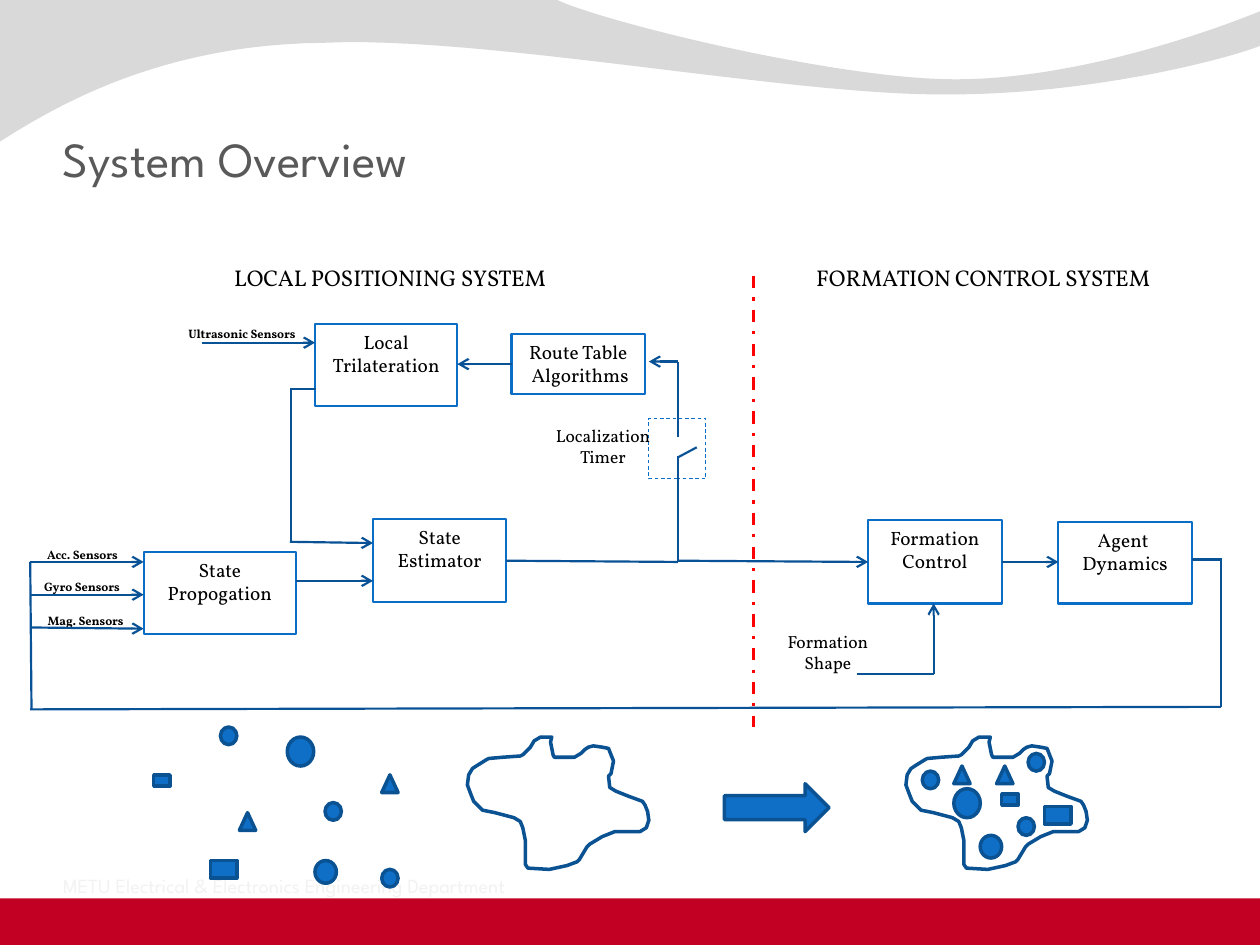
from lxml.etree import SubElement
from pptx import Presentation
from pptx.dml.color import RGBColor
from pptx.enum.dml import MSO_LINE as Dash
from pptx.enum.shapes import MSO_CONNECTOR, MSO_SHAPE as Shape
from pptx.enum.text import MSO_ANCHOR as Anchor, PP_ALIGN as Align
from pptx.oxml.ns import qn
from pptx.util import Inches, Pt

WHITE = RGBColor(0xFF, 0xFF, 0xFF)
BLACK = RGBColor(0, 0, 0)
RED = RGBColor(0xFF, 0, 0)
CRIMSON = RGBColor(0xC2, 0x00, 0x24)
SILVER = RGBColor(0xD9, 0xD9, 0xD9)
GRAY = RGBColor(0x59, 0x59, 0x59)
PALE = RGBColor(0xF2, 0xF2, 0xF2)
EDGE = RGBColor(0x0A, 0x6D, 0xC6)
WIRE = RGBColor(0x09, 0x52, 0x95)
BLUE = RGBColor(0x0F, 0x6F, 0xC6)
NAVY = RGBColor(0x0B, 0x52, 0x92)
SANS, SERIF = "League Spartan", "Vollkorn"

prs = Presentation()
prs.slide_width, prs.slide_height = Inches(10), Inches(7.5)
slide = prs.slides.add_slide(prs.slide_layouts[6])
slide.background.fill.solid()
slide.background.fill.fore_color.rgb = WHITE
shapes = slide.shapes


def style(shape, fill=None, line=None, width=1.25):
    shape.shadow.inherit = False
    if fill is None:
        shape.fill.background()
    else:
        shape.fill.solid()
        shape.fill.fore_color.rgb = fill
    if line is None:
        shape.line.fill.background()
    else:
        shape.line.color.rgb = line
        shape.line.width = Pt(width)


def write(shape, text, size, font=SERIF, color=BLACK, align=Align.CENTER, bold=False):
    frame = shape.text_frame
    frame.text = text
    frame.vertical_anchor = Anchor.TOP
    for par in frame.paragraphs:
        par.alignment = align
        for run in par.runs:
            run.font.size, run.font.name = Pt(size), font
            run.font.color.rgb, run.font.bold = color, bold


# Page frame: bottom bar and top wave
bar = shapes.add_shape(Shape.RECTANGLE, 0, Inches(7.13), Inches(10), Inches(0.37))
style(bar, CRIMSON)

# Each run of cubic curves: a start point, then control, control, end
upper = [(4.4, -0.01), (4.76, 0.17), (6.64, 0.63), (7.58, 0.63),
         (8.53, 0.63), (9.58, 0.26), (10, 0.09)]
lower = [(10.01, 0.36), (9.83, 0.44), (8.7, 0.76), (7.46, 0.75), (6.22, 0.75),
         (3.82, 0.28), (2.57, 0.34), (1.29, 0.35), (0.46, 0.83), (-0.01, 1.13)]
STEPS = 24
wave = []
for curve in (upper, lower):
    wave.append(curve[0])
    for i in range(0, len(curve) - 1, 3):
        for step in range(1, STEPS + 1):
            t = step / STEPS
            mix = ((1 - t) ** 3, 3 * t * (1 - t) ** 2, 3 * t * t * (1 - t), t ** 3)
            wave.append([sum(m * p[axis] for m, p in zip(mix, curve[i:i + 4]))
                         for axis in (0, 1)])
path = shapes.build_freeform(Inches(0), Inches(-0.01))
path.add_line_segments([(Inches(x), Inches(y)) for x, y in wave])
style(path.convert_to_shape(), SILVER)

for text, x, y, w, h, inset, size, color in [
    ("System Overview", 0.5, 0.37, 9, 1.12, 0.05, 28, GRAY),
    ("METU Electrical & Electronics Engineering Department",
     0.5, 6.83, 4.38, 0.29, 0, 11.5, PALE),
]:
    box = shapes.add_textbox(Inches(x), Inches(y), Inches(w), Inches(h))
    write(box, text, size, SANS, color, Align.LEFT)
    frame = box.text_frame
    frame.word_wrap, frame.vertical_anchor = True, Anchor.BOTTOM
    frame.margin_left = frame.margin_right = frame.margin_bottom = 0
    frame.margin_top = Inches(inset)

# Block diagram
for text, x, y, w, h in [
    ("Local Trilateration", 2.5, 2.57, 1.13, 0.65),
    ("Route Table\n Algorithms", 4.06, 2.65, 1.06, 0.48),
    ("State Propogation", 1.14, 4.38, 1.21, 0.65),
    ("State Estimator", 2.96, 4.12, 1.06, 0.66),
    ("Formation Control", 6.89, 4.13, 1.06, 0.66),
    ("Agent \nDynamics", 8.4, 4.14, 1.06, 0.65),
]:
    block = shapes.add_shape(Shape.RECTANGLE, Inches(x), Inches(y), Inches(w), Inches(h))
    style(block, line=EDGE)
    write(block, text, 11)

timer = shapes.add_shape(Shape.RECTANGLE, Inches(5.15), Inches(3.32), Inches(0.45), Inches(0.48))
style(timer, line=EDGE, width=0.5)
timer.line.dash_style = Dash.DASH

for text, x, y, w, h, size, bold in [
    ("Localization \nTimer", 4.3, 3.32, 0.97, 0.45, 10, False),
    ("Formation\nShape", 6.15, 4.96, 0.84, 0.45, 10, False),
    ("Acc. Sensors", 0.24, 4.29, 0.83, 0.21, 7, True),
    ("Gyro Sensors", 0.21, 4.55, 0.88, 0.21, 7, True),
    ("Mag. Sensors", 0.25, 4.82, 0.86, 0.21, 7, True),
    ("Ultrasonic Sensors", 1.35, 2.54, 1.14, 0.21, 7, True),
]:
    label = shapes.add_textbox(Inches(x), Inches(y), Inches(w), Inches(h))
    label.text_frame.word_wrap = False
    write(label, text, size, bold=bold)

for text, x, w in [("LOCAL POSITIONING SYSTEM", 1.76, 2.82),
                   ("FORMATION CONTROL SYSTEM", 6.38, 3.1)]:
    head = shapes.add_textbox(Inches(x), Inches(2.04), Inches(w), Inches(0.31))
    head.text_frame.word_wrap = True
    write(head, text, 13, align=Align.LEFT)

arrows = [
    (5.38, 2.87, 5.15, 2.87), (4.06, 2.89, 3.63, 2.89), (2.3, 4.3, 2.96, 4.31),
    (5.38, 4.45, 6.89, 4.46), (7.41, 5.35, 7.41, 4.79), (7.95, 4.46, 8.4, 4.46),
    (0.24, 4.46, 1.14, 4.46), (0.24, 4.72, 1.14, 4.72), (0.24, 4.98, 1.14, 4.99),
    (2.35, 4.61, 2.96, 4.61), (1.6, 2.72, 2.5, 2.72),
]
wires = [
    (5.38, 3.47, 5.38, 2.87), (2.31, 3.08, 2.31, 4.3), (2.31, 3.09, 2.51, 3.09),
    (5.38, 3.63, 5.53, 3.55), (5.38, 3.62, 5.38, 4.46), (4.02, 4.45, 5.38, 4.46),
    (6.8, 5.35, 7.41, 5.35), (9.69, 4.44, 9.46, 4.44), (9.69, 4.43, 9.69, 5.61),
    (9.69, 5.61, 0.24, 5.63), (0.25, 5.63, 0.24, 4.46),
]
border = (5.98, 2.19, 5.98, 5.77)
for ends in arrows + wires + [border]:
    link = shapes.add_connector(MSO_CONNECTOR.STRAIGHT, *map(Inches, ends))
    link.line.color.rgb, link.line.width = WIRE, Pt(1.25)
    if ends is border:
        link.line.color.rgb, link.line.width = RED, Pt(1.75)
        link.line.dash_style = Dash.DASH_DOT
    props = link._element.spPr
    if ends in arrows:
        SubElement(props.find(qn("a:ln")), qn("a:tailEnd"), type="arrow")
    SubElement(props, qn("a:effectLst"))

# Formation outline, drawn empty and then filled with agents
outline = [
    (4.38, 5.85), (4.37, 5.89), (4.39, 5.99), (4.4, 6.01), (4.56, 6.01), (4.61, 5.98),
    (4.64, 5.95), (4.67, 5.93), (4.71, 5.92), (4.78, 5.93), (4.83, 5.94), (4.85, 5.99),
    (4.87, 6.04), (4.85, 6.14), (4.83, 6.16), (4.84, 6.25), (4.89, 6.28), (4.99, 6.32),
    (5.1, 6.36), (5.12, 6.39), (5.14, 6.44), (5.15, 6.51), (5.13, 6.57), (5.08, 6.6),
    (4.88, 6.6), (4.78, 6.64), (4.68, 6.7), (4.66, 6.72), (4.6, 6.82), (4.58, 6.84),
    (4.5, 6.87), (4.36, 6.9), (4.19, 6.89), (4.17, 6.86), (4.17, 6.67), (4.15, 6.57),
    (4.13, 6.52), (4.08, 6.49), (3.93, 6.45), (3.83, 6.43), (3.76, 6.36), (3.74, 6.31),
    (3.71, 6.23), (3.72, 6.15), (3.75, 6.1), (3.78, 6.08), (3.86, 6.03), (3.88, 6.02),
    (3.99, 6.01), (4.13, 6), (4.15, 5.99), (4.21, 5.93), (4.24, 5.88), (4.29, 5.85),
]
for shift in (0, 3.48):
    spots = [(Inches(x + shift), Inches(y)) for x, y in outline]
    path = shapes.build_freeform(*spots[0])
    path.add_line_segments(spots[1:])
    blob = path.convert_to_shape()
    style(blob, line=NAVY, width=2)
    SubElement(blob.line._get_or_add_ln(), qn("a:round"))

# Agents: kind, size, scattered place, place in formation
for kind, w, h, *spots in [
    (Shape.OVAL, 0.13, 0.14, (1.75, 5.77), (7.32, 6.12)),
    (Shape.OVAL, 0.21, 0.23, (2.28, 5.85), (7.57, 6.26)),
    (Shape.OVAL, 0.13, 0.14, (2.58, 6.37), (8.16, 5.98)),
    (Shape.OVAL, 0.13, 0.14, (3.03, 6.9), (8.08, 6.49)),
    (Shape.OVAL, 0.17, 0.18, (2.5, 6.83), (7.78, 6.63)),
    (Shape.ISOSCELES_TRIANGLE, 0.13, 0.14, (1.9, 6.45), (7.57, 6.08)),
    (Shape.ISOSCELES_TRIANGLE, 0.13, 0.14, (3.03, 6.15), (7.91, 6.08)),
    (Shape.RECTANGLE, 0.21, 0.14, (1.67, 6.83), (8.29, 6.4)),
    (Shape.RECTANGLE, 0.13, 0.09, (1.22, 6.15), (7.95, 6.3)),
    (Shape.RIGHT_ARROW, 0.83, 0.38, (5.75, 6.22)),
]:
    for x, y in spots:
        agent = shapes.add_shape(kind, Inches(x), Inches(y), Inches(w), Inches(h))
        style(agent, BLUE, NAVY, 2)

prs.save("out.pptx")
